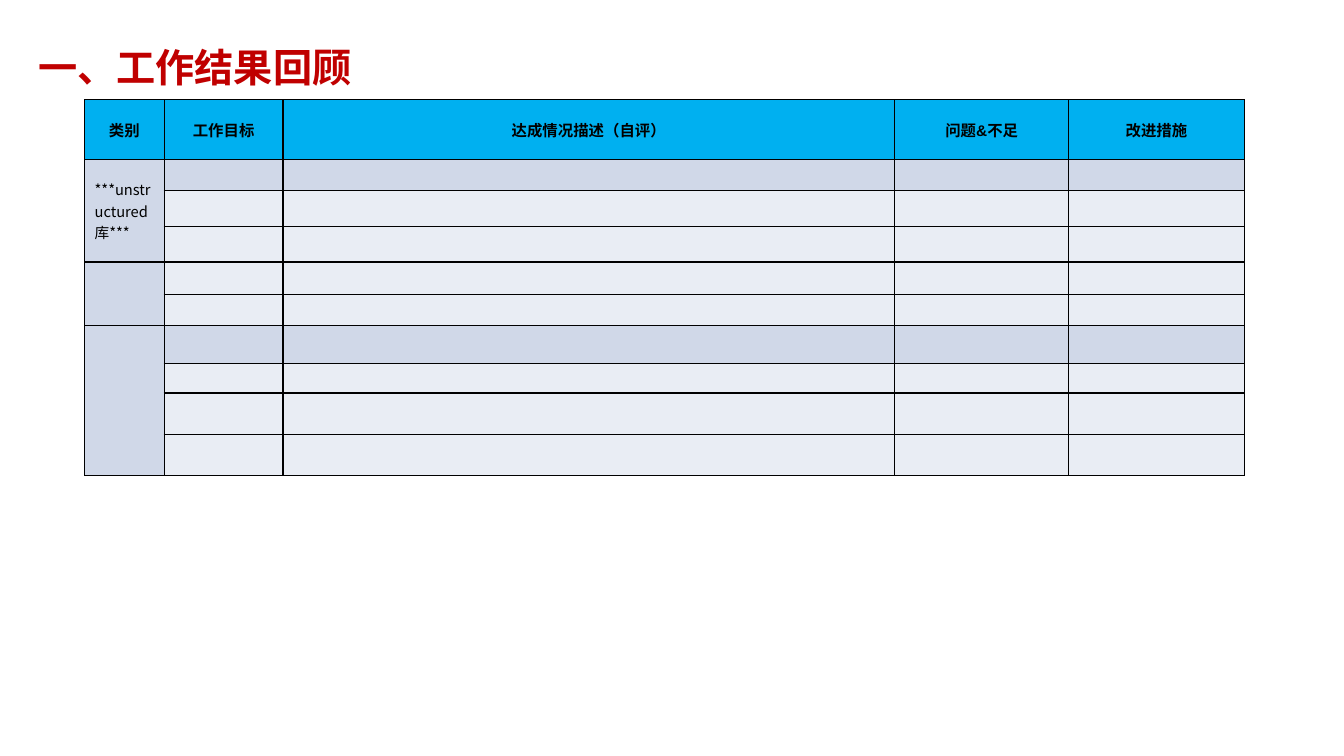
import pptx
import pptx.util
import pptx.dml.color
import pptx.enum.text
import pptx.oxml
import pptx.oxml.ns
import lxml.etree

Inches = pptx.util.Inches
Pt = pptx.util.Pt
ALIGN = pptx.enum.text.PP_ALIGN
MIDDLE = pptx.enum.text.MSO_ANCHOR.MIDDLE

HEAD = ["类别", "工作目标", "达成情况描述（自评）", "问题&不足", "改进措施"]
COLS = [0.79, 1.18, 6.07, 1.73, 1.74]
ROWS = [0.59, 0.31, 0.36, 0.35, 0.32, 0.31, 0.38, 0.29, 0.41, 0.41]
GROUPS = [(1, 3, "***unstructured 库***"), (4, 5, ""), (6, 9, "")]
DARK_ROWS = (1, 6)
BLUE, DARK, LIGHT = "00B0F0", "D0D8E8", "E9EDF4"


def color(code):
    return pptx.dml.color.RGBColor.from_string(code)


def child(parent, tag, **attrs):
    return lxml.etree.SubElement(parent, pptx.oxml.ns.qn(tag), **attrs)


class Deck:
    """Style and current slide."""
    sans = "Noto Sans CJK SC"
    latin = "Arial"
    ink = "000000"

    def __init__(self, wide, high):
        self.prs = pptx.Presentation()
        self.prs.slide_width = Inches(wide)
        self.prs.slide_height = Inches(high)
        self.slide = self.prs.slides.add_slide(self.prs.slide_layouts[5])

    def style(self, para, size, bold=False, ink=ink, face=sans, align=ALIGN.LEFT):
        para.alignment = align
        font = para.font
        font.size, font.bold, font.name = Pt(size), bold, face
        font.color.rgb = color(ink)
        # East Asian typeface
        child(font._element, "a:ea", typeface=self.sans)

    def title(self, text, left, top, wide, high):
        shape = self.slide.shapes.title
        shape.left, shape.top = Inches(left), Inches(top)
        shape.width, shape.height = Inches(wide), Inches(high)
        frame = shape.text_frame
        frame.text = text
        frame.vertical_anchor = MIDDLE
        frame.margin_left = frame.margin_right = Inches(0.09)
        frame.margin_top = frame.margin_bottom = Inches(0.04)
        self.style(frame.paragraphs[0], 28, True, "C00000")

    def cell(self, cell, fill):
        props = cell._tc.get_or_add_tcPr()
        for side in ("a:lnL", "a:lnR", "a:lnT", "a:lnB"):
            line = child(props, side, w=str(Pt(1)))
            child(child(line, "a:solidFill"), "a:srgbClr", val=self.ink)
        cell.fill.solid()
        cell.fill.fore_color.rgb = color(fill)
        cell.vertical_anchor = MIDDLE
        # Small type keeps the blank rows low
        para = cell.text_frame.paragraphs[0]
        child(para._p, "a:endParaRPr", sz="800")

    def label(self, cell, text, size, **style):
        cell.text = text
        self.style(cell.text_frame.paragraphs[0], size, **style)

    def table(self, left, top):
        grid = self.slide.shapes.add_table(
            len(ROWS), len(COLS), Inches(left), Inches(top),
            Inches(sum(COLS)), Inches(sum(ROWS))).table
        for col, wide in zip(grid.columns, COLS):
            col.width = Inches(wide)
        for row, high in zip(grid.rows, ROWS):
            row.height = Inches(high)

        # Fills and borders
        for r in range(len(ROWS)):
            for c in range(len(COLS)):
                dark = c == 0 or r in DARK_ROWS
                fill = BLUE if r == 0 else DARK if dark else LIGHT
                self.cell(grid.cell(r, c), fill)

        # Header row
        for c, text in enumerate(HEAD):
            self.label(grid.cell(0, c), text, 11, bold=True,
                       face=self.latin, align=ALIGN.CENTER)

        # Merged category cells
        for first, last, text in GROUPS:
            grid.cell(first, 0).merge(grid.cell(last, 0))
            if text:
                self.label(grid.cell(first, 0), text, 10.5)


def main():
    deck = Deck(13.34, 7.5)
    deck.title("一、工作结果回顾", 0.29, 0.36, 6.02, 0.61)
    deck.table(0.84, 0.99)
    deck.prs.save("out.pptx")


if __name__ == "__main__":
    main()
